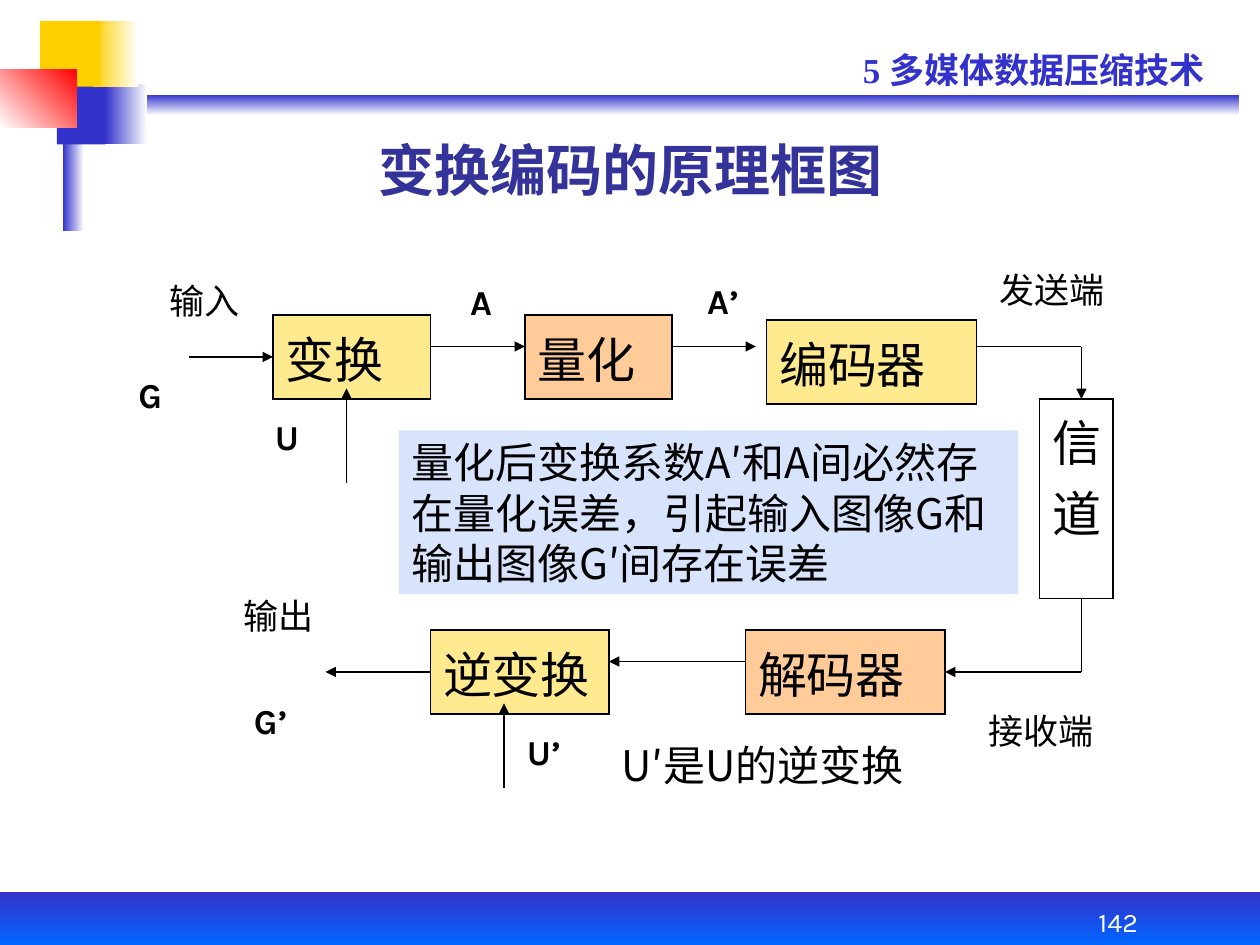
from dataclasses import dataclass
from typing import NamedTuple, Optional

import pptx
import pptx.dml.color
import pptx.enum.shapes
import pptx.enum.text
import pptx.oxml
import pptx.oxml.ns
import pptx.util

Pt = pptx.util.Pt
Align = pptx.enum.text.PP_ALIGN
Anchor = pptx.enum.text.MSO_ANCHOR
AutoSize = pptx.enum.text.MSO_AUTO_SIZE


@dataclass(frozen=True)
class Theme:
    blue: str = "3333CC"
    bright_blue: str = "0066FF"
    title_blue: str = "333399"
    gold: str = "FFCF01"
    red: str = "FF0000"
    white: str = "FFFFFF"
    black: str = "000000"
    yellow: str = "FFEA8F"
    orange: str = "FFCC99"
    note: str = "D8E4FC"
    body_font: str = "Karla"
    chinese_font: str = "Noto Sans CJK SC"
    header_font: str = "Times New Roman"
    title_size: float = 32
    block_size: float = 28
    note_size: float = 24
    label_size: float = 20
    number_size: float = 15.3
    border: float = 1.08
    line: float = 0.75


THEME = Theme()


class Box(NamedTuple):
    left: float
    top: float
    width: float
    height: float


class Panel(NamedTuple):
    box: Box
    start: str
    end: Optional[str] = None
    angle: float = 0


class Block(NamedTuple):
    text: str
    box: Box
    fill: Optional[str]


class Wire(NamedTuple):
    start: tuple
    end: tuple
    arrow: bool = True


class Label(NamedTuple):
    text: str
    left: float
    top: float
    width: float
    bold: bool = False


PANELS = [
    Panel(Box(42, 54, 666, 12), THEME.blue, THEME.white, 270),
    Panel(Box(60, 48, 24, 34.5), THEME.blue, THEME.white),
    Panel(Box(0, 510, 720, 30), THEME.blue, THEME.bright_blue, 270),
    Panel(Box(36, 42, 12, 90), THEME.blue, THEME.white),
    Panel(Box(32.5, 48, 27.5, 34.5), THEME.blue),
    Panel(Box(53, 12, 26, 37.5), THEME.gold, THEME.white),
    Panel(Box(23, 12, 34.5, 37.5), THEME.gold),
    Panel(Box(0, 39.5, 44, 33.5), THEME.white, THEME.red, 45),
]

BLOCKS = [
    Block("变换", Box(156, 180, 90, 48), THEME.yellow),
    Block("量化", Box(300, 180, 84, 48), THEME.orange),
    Block("编码器", Box(438, 183, 120, 48), THEME.yellow),
    Block("解码器", Box(426, 360, 114, 48), THEME.orange),
    Block("逆变换", Box(246, 360, 102, 48), THEME.yellow),
    Block("信道", Box(594, 228, 42, 114), None),
]

WIRES = [
    Wire((108, 204), (156, 204)),
    Wire((246, 198), (300, 198)),
    Wire((384, 198), (432, 198)),
    Wire((558, 198), (618, 198), arrow=False),
    Wire((618, 198), (618, 228)),
    Wire((618, 342), (618, 384), arrow=False),
    Wire((618, 384), (540, 384)),
    Wire((426, 378), (348, 378)),
    Wire((246, 384), (186, 384)),
    Wire((288, 450), (288, 402)),
    Wire((198, 276), (198, 222)),
]

LABELS = [
    Label("输入", 90, 156, 60),
    Label("发送端", 564, 150, 80),
    Label("接收端", 558, 402, 80),
    Label("输出", 132, 336, 60),
    Label("G", 72, 210, 48, bold=True),
    Label("G’", 138, 396, 48, bold=True),
    Label("U’", 294, 414, 48, bold=True),
    Label("U", 150, 234, 48, bold=True),
    Label("A’", 397, 156, 48, bold=True),
    Label("A", 261.5, 157, 48, bold=True),
]


def rgb(color: str) -> pptx.dml.color.RGBColor:
    return pptx.dml.color.RGBColor.from_string(color)


def points(box: Box) -> list:
    return [Pt(value) for value in box]


def write(frame, text: str, *, size: float, font: str = THEME.body_font,
          color: str = THEME.black, bold: bool = False, align=Align.LEFT,
          line_spacing: Optional[float] = None) -> None:
    """Fill a text frame with one formatted paragraph."""
    paragraph = frame.paragraphs[0]
    paragraph.alignment = align
    paragraph.line_spacing = line_spacing
    run = paragraph.add_run()
    run.text = text
    run.font.name = font
    run.font.size = Pt(size)
    run.font.bold = bold
    run.font.color.rgb = rgb(color)


def add_text(slide, box: Box, text: str, *, anchor=Anchor.TOP, grow: bool = True,
             **text_format) -> None:
    frame = slide.shapes.add_textbox(*points(box)).text_frame
    frame.word_wrap = True
    frame.vertical_anchor = anchor
    frame.auto_size = AutoSize.SHAPE_TO_FIT_TEXT if grow else AutoSize.NONE
    write(frame, text, **text_format)


def add_panel(slide, panel: Panel):
    """Add a borderless rectangle, graded when it has an end colour."""
    shape = slide.shapes.add_shape(
        pptx.enum.shapes.MSO_SHAPE.RECTANGLE, *points(panel.box))
    shape.shadow.inherit = False
    shape.line.fill.background()
    if panel.end:
        shape.fill.gradient()
        shape.fill.gradient_angle = panel.angle
        for stop, color in zip(shape.fill.gradient_stops, (panel.start, panel.end)):
            stop.color.rgb = rgb(color)
    else:
        shape.fill.solid()
        shape.fill.fore_color.rgb = rgb(panel.start)
    return shape


def add_block(slide, block: Block) -> None:
    """Add a bordered one-cell table."""
    table = slide.shapes.add_table(1, 1, *points(block.box)).table
    table.first_row = table.horz_banding = False
    cell = table.cell(0, 0)
    if block.fill:
        cell.fill.solid()
        cell.fill.fore_color.rgb = rgb(block.fill)
    else:
        cell.fill.background()
    write(cell.text_frame, block.text, size=THEME.block_size)
    properties = cell._tc.get_or_add_tcPr()
    for index, side in enumerate("LRTB"):
        properties.insert(index, pptx.oxml.parse_xml(
            f'<a:ln{side} {pptx.oxml.ns.nsdecls("a")} w="{Pt(THEME.border)}">'
            f'<a:solidFill><a:srgbClr val="{THEME.black}"/></a:solidFill></a:ln{side}>'))


def add_wire(slide, wire: Wire) -> None:
    connector = slide.shapes.add_connector(
        pptx.enum.shapes.MSO_CONNECTOR.STRAIGHT,
        *(Pt(value) for value in wire.start + wire.end))
    connector.line.color.rgb = rgb(THEME.black)
    connector.line.width = Pt(THEME.line)
    namespace = pptx.oxml.ns.nsdecls("a")
    if wire.arrow:
        connector.line._get_or_add_ln().append(
            pptx.oxml.parse_xml(f'<a:tailEnd {namespace} type="triangle"/>'))
    connector._element.spPr.append(pptx.oxml.parse_xml(f"<a:effectLst {namespace}/>"))


def main() -> None:
    presentation = pptx.Presentation()
    presentation.slide_width, presentation.slide_height = Pt(720), Pt(540)
    slide = presentation.slides.add_slide(presentation.slide_layouts[6])

    for panel in PANELS:
        add_panel(slide, panel)
    add_text(slide, Box(486, 24, 216, 31.5), "5 多媒体数据压缩技术", bold=True,
             size=THEME.label_size, font=THEME.header_font, color=THEME.blue)
    add_text(slide, Box(582, 510, 114, 30), "142", size=THEME.number_size, grow=False,
             color=THEME.white, align=Align.CENTER, anchor=Anchor.BOTTOM, line_spacing=0.9)
    add_text(slide, Box(90, 71.5, 548.5, 48), "变换编码的原理框图 ", bold=True, grow=False,
             size=THEME.title_size, font=THEME.chinese_font, color=THEME.title_blue,
             align=Align.CENTER, anchor=Anchor.BOTTOM)

    for block in BLOCKS:
        add_block(slide, block)
    for wire in WIRES:
        add_wire(slide, wire)
    for label in LABELS:
        add_text(slide, Box(label.left, label.top, label.width, 31.5), label.text,
                 size=THEME.label_size, bold=label.bold)

    note = add_panel(slide, Panel(Box(228, 246, 354, 93.5), THEME.note)).text_frame
    note.word_wrap = True
    note.vertical_anchor = Anchor.TOP
    note.auto_size = AutoSize.SHAPE_TO_FIT_TEXT
    write(note, "量化后变换系数A′和A间必然存在量化误差，引起输入图像G和输出图像G′间存在误差",
          size=THEME.note_size, font=THEME.chinese_font)
    add_text(slide, Box(348, 419, 200, 36), "U′是U的逆变换",
             size=THEME.note_size, font=THEME.chinese_font)
    presentation.save("out.pptx")


if __name__ == "__main__":
    main()
